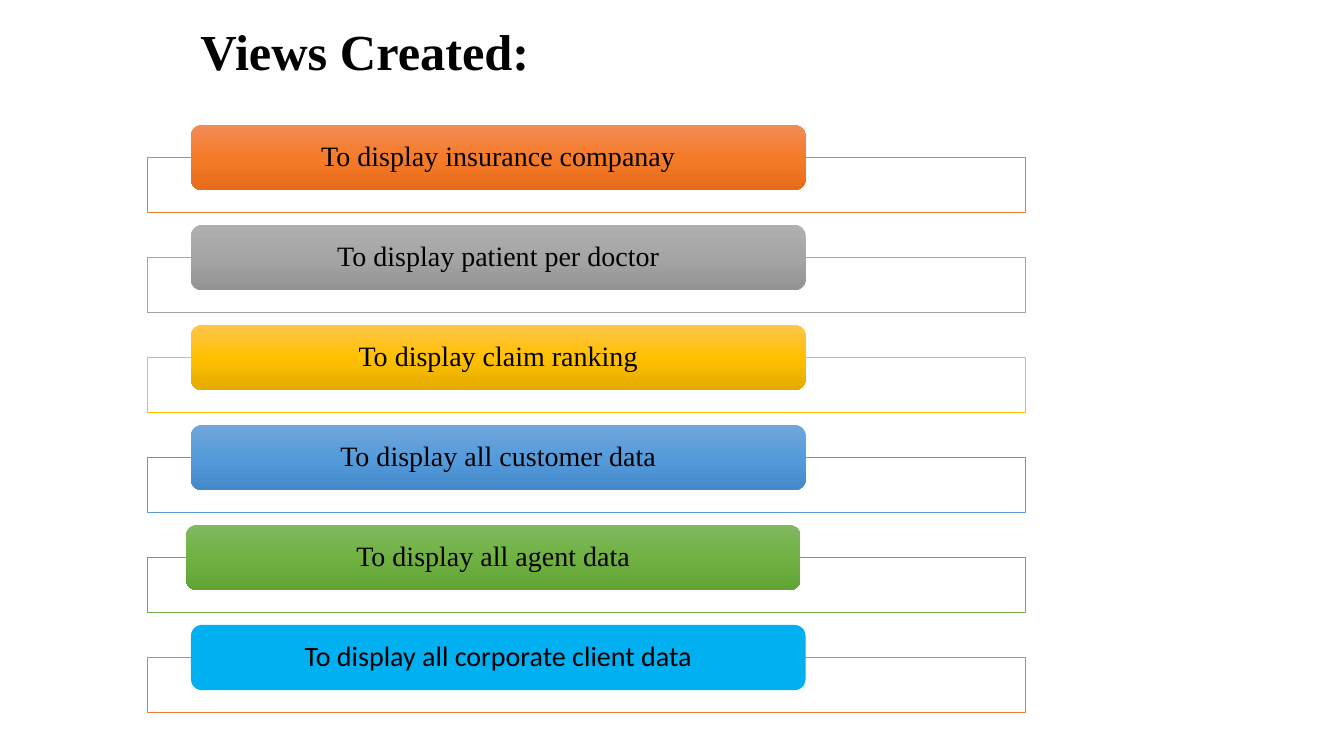
import copy

import pptx
import pptx.util
import pptx.dml.color
import pptx.enum.shapes
import pptx.enum.text
import pptx.oxml.ns

Pt = pptx.util.Pt
SERIF, SANS = "Times New Roman", "Calibri"

TITLE = "Views Created:"
# label, font, frame line, bar colours from top to bottom, shift of the bar
VIEWS = [
    ("To display insurance companay", SERIF, "ED7D31", ("F18C57", "F67B28", "E56C19"), 0),
    ("To display patient per doctor", SERIF, "A5A5A5", ("AFAFAF", "A5A5A5", "939393"), 0),
    ("To display claim ranking", SERIF, "FFC000", ("FFC64B", "FFC000", "E3AB00"), 0),
    ("To display all customer data", SERIF, "5B9BD5", ("71A6DB", "559BDB", "448ACA"), 0),
    ("To display all agent data", SERIF, "70AD47", ("81B861", "6FB242", "62A336"), -3.6),
    ("To display all corporate client data", SANS, "ED7D31", ("00B0F0",), 0),
]
THEME = {"text": "000000", "frame": "FFFFFF", "title": 36, "label": 20, "line": 0.5}

TITLE_BOX = (136, 1.5, 481, 74)
FRAME = (105.4, 112.4, 627, 39.6)
BAR = (136.4, 89.2, 439, 46.6)
PITCH = 71.44


def color(code):
    return pptx.dml.color.RGBColor.from_string(code)


def style(frame, font, size, align, bold=False):
    frame.word_wrap = True
    frame.vertical_anchor = pptx.enum.text.MSO_ANCHOR.MIDDLE
    para = frame.paragraphs[0]
    para.alignment = align
    para.line_spacing = 0.9
    for run in para.runs:
        run.font.name = font
        run.font.size = Pt(size)
        run.font.bold = bold
        run.font.color.rgb = color(THEME["text"])


def add_box(slide, kind, box, row, shift=0):
    left, top, width, height = box
    shape = slide.shapes.add_shape(
        kind, Pt(left + shift), Pt(top + row * PITCH), Pt(width), Pt(height))
    shape.shadow.inherit = False
    return shape


def shade(shape, codes):
    """Fill evenly from top to bottom, or plainly when there is one colour."""
    if len(codes) == 1:
        shape.fill.solid()
        shape.fill.fore_color.rgb = color(codes[0])
        return
    shape.fill.gradient()
    shape.fill.gradient_angle = 270
    stops = shape.element.spPr.find(".//" + pptx.oxml.ns.qn("a:gsLst"))
    stops.append(copy.deepcopy(stops[0]))
    for i, (stop, code) in enumerate(zip(shape.fill.gradient_stops, codes)):
        stop.color.rgb = color(code)
        stop.position = i / (len(codes) - 1)


def add_view(slide, row, label, font, line, codes, shift):
    kinds = pptx.enum.shapes.MSO_SHAPE
    frame = add_box(slide, kinds.RECTANGLE, FRAME, row)
    frame.fill.solid()
    frame.fill.fore_color.rgb = color(THEME["frame"])
    frame.line.color.rgb = color(line)
    frame.line.width = Pt(THEME["line"])

    bar = add_box(slide, kinds.ROUNDED_RECTANGLE, BAR, row, shift)
    shade(bar, codes)
    bar.line.fill.background()
    text = bar.text_frame
    text.text = label
    text.margin_left = text.margin_right = Pt(16.6)
    text.margin_top = text.margin_bottom = Pt(0)
    style(text, font, THEME["label"], pptx.enum.text.PP_ALIGN.CENTER)


def main():
    deck = pptx.Presentation()
    deck.slide_width, deck.slide_height = Pt(960), Pt(540)
    slide = deck.slides.add_slide(deck.slide_layouts[5])
    title = slide.shapes.title
    title.left, title.top, title.width, title.height = map(Pt, TITLE_BOX)
    title.text_frame.text = TITLE
    style(title.text_frame, SERIF, THEME["title"], pptx.enum.text.PP_ALIGN.LEFT, True)
    for row, view in enumerate(VIEWS):
        add_view(slide, row, *view)
    deck.save("out.pptx")


if __name__ == "__main__":
    main()
